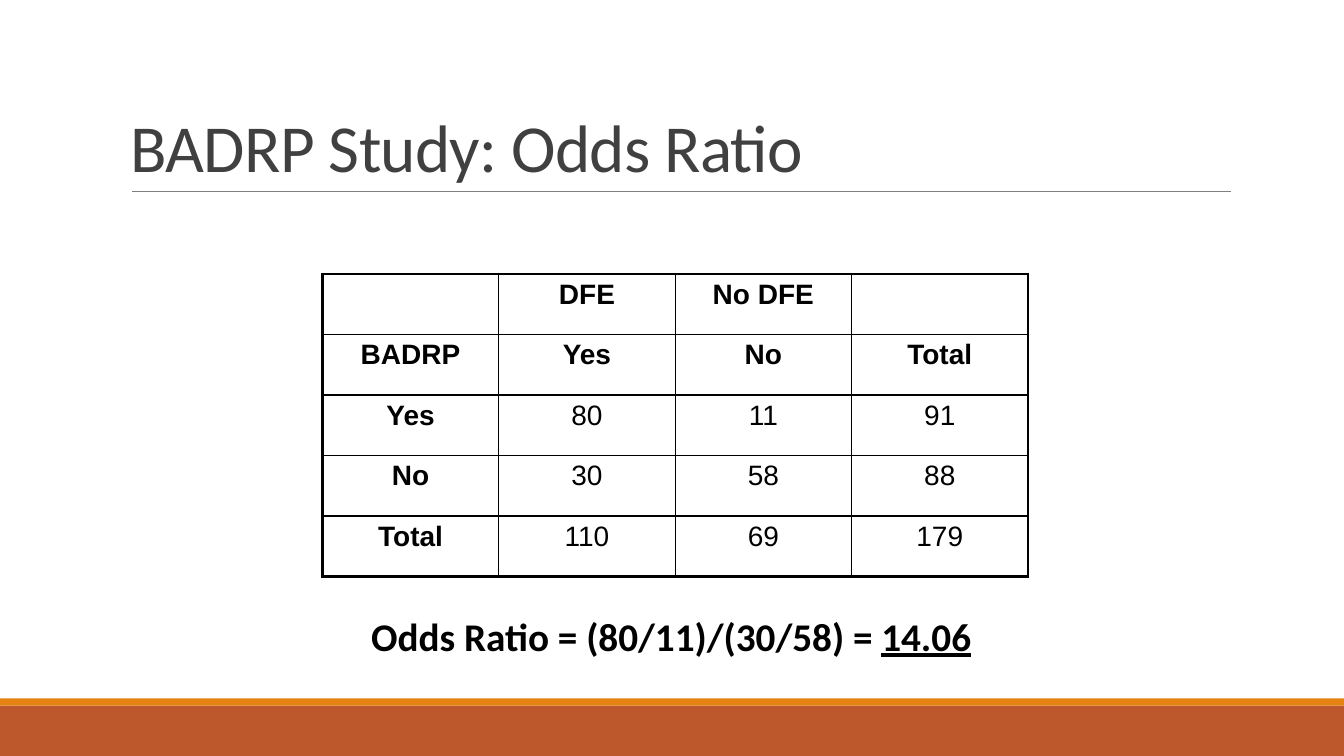
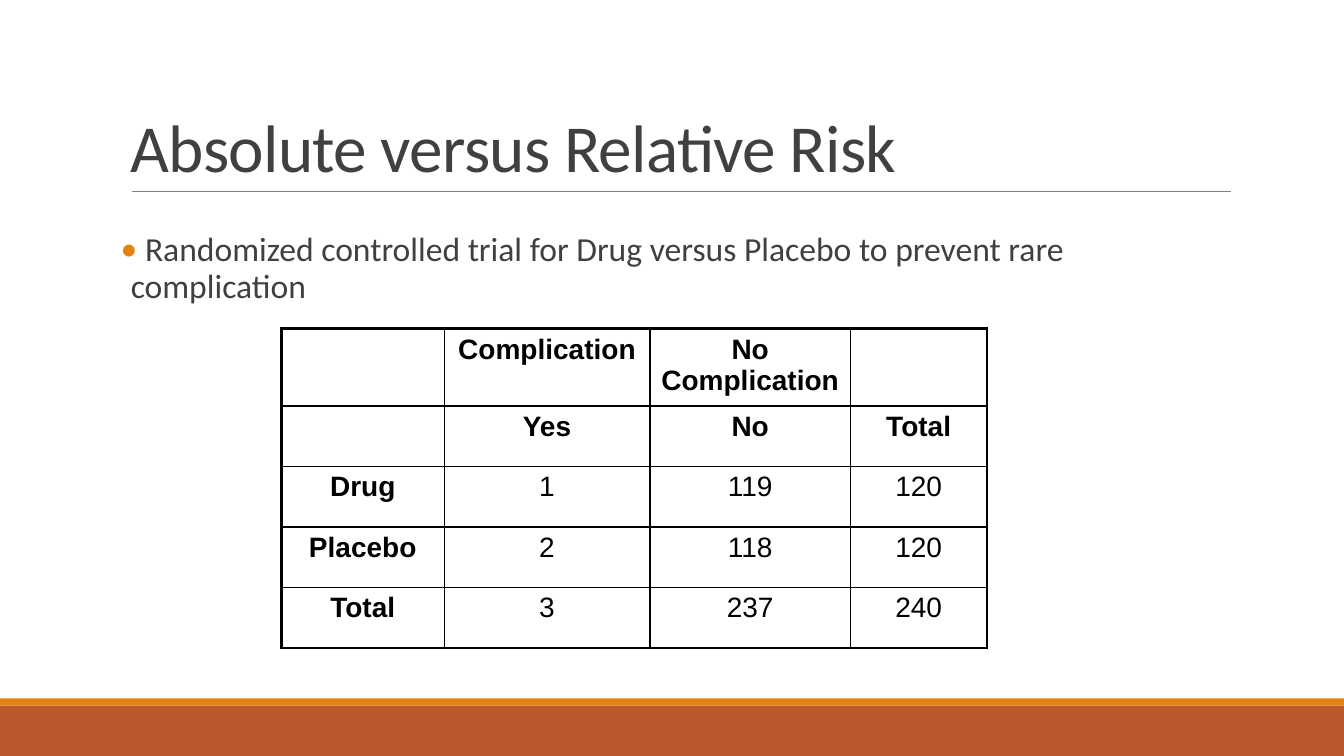
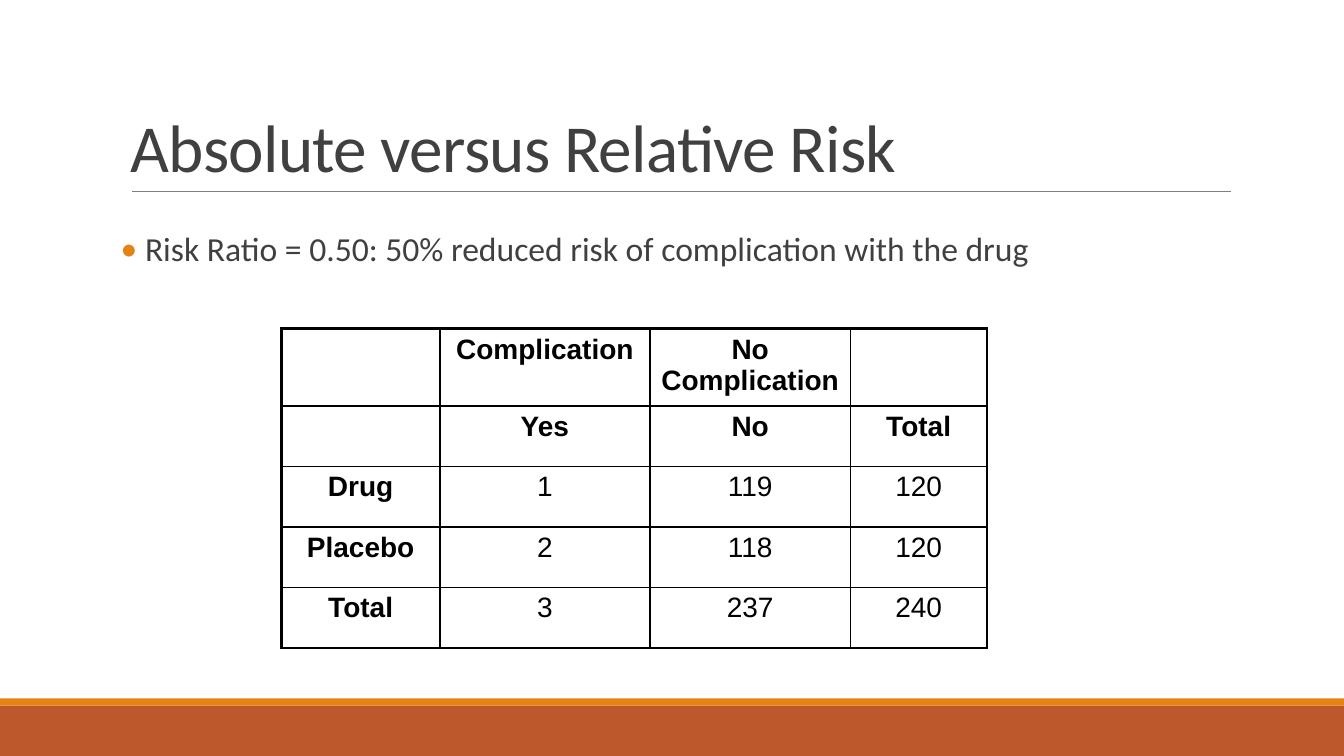
from dataclasses import dataclass

from pptx import Presentation
from pptx.dml.color import RGBColor
from pptx.enum.shapes import MSO_CONNECTOR, MSO_SHAPE
from pptx.enum.text import MSO_ANCHOR, PP_ALIGN
from pptx.oxml.ns import qn
from pptx.util import Pt
from lxml.etree import SubElement

PX = 9525  # EMU per px, 96 px to the inch
WIDTH, HEIGHT = 1280, 720


@dataclass(frozen=True)
class Theme:
    footer: str = "BD582C"
    accent: str = "E48312"
    rule: str = "808080"
    text: str = "404040"
    black: str = "000000"
    font: str = "Calibri"
    table_font: str = "Arial"
    title_size: int = 48
    formula_size: int = 28
    body_size: int = 24
    table_size: int = 20
    outer_border: float = 2.25
    inner_border: float = 1


THEME = Theme()


def px(*lengths):
    return [round(length * PX) for length in lengths]


def rgb(color):
    return RGBColor.from_string(color)


def style(p, size, color, font=THEME.font, bold=False):
    for r in p.runs:
        r.font.name = font
        r.font.size = Pt(size)
        r.font.bold = bold
        r.font.color.rgb = rgb(color)


# Shared slide parts
def add_band(slide, top, height, color):
    sp = slide.shapes.add_shape(MSO_SHAPE.RECTANGLE, *px(0, top, WIDTH, height))
    sp.shadow.inherit = False
    sp.fill.solid()
    sp.fill.fore_color.rgb = rgb(color)
    sp.line.fill.background()


def add_rule(slide, left, right, y):
    line = slide.shapes.add_connector(MSO_CONNECTOR.STRAIGHT, *px(left, y, right, y))
    line.line.color.rgb = rgb(THEME.rule)
    line.line.width = Pt(0.5)
    SubElement(line._element.spPr, qn("a:effectLst"))


def add_text(slide, left, top, width, height, text):
    tf = slide.shapes.add_textbox(*px(left, top, width, height)).text_frame
    tf.word_wrap = True
    tf.text = text
    return tf, tf.paragraphs[0]


def add_title(slide, text):
    tf, p = add_text(slide, 115, 30, 1056, 152, text)
    tf.vertical_anchor = MSO_ANCHOR.BOTTOM
    p.line_spacing = 0.85
    style(p, THEME.title_size, THEME.text)
    for r in p.runs:
        r.font._element.set("spc", "-50")


def new_slide(prs, title):
    slide = prs.slides.add_slide(prs.slide_layouts[6])
    add_band(slide, 672, 48, THEME.footer)
    add_band(slide, 665, 7, THEME.accent)
    add_rule(slide, 126, 1172, 182)
    add_title(slide, title)
    return slide


# Body text
def add_bullet(slide, text):
    tf, p = add_text(slide, 115, 217, 1056, 399, text)
    tf.margin_left = tf.margin_right = 0
    pPr = p._p.get_or_add_pPr()
    indent = Pt(7.2)
    pPr.set("marL", str(indent))
    pPr.set("indent", str(-indent))
    bullet_color = SubElement(pPr, qn("a:buClr"))
    SubElement(bullet_color, qn("a:srgbClr"), val=THEME.accent)
    SubElement(pPr, qn("a:buFont"), typeface=THEME.font)
    SubElement(pPr, qn("a:buChar"), char="•")
    p.line_spacing = 0.9
    p.space_after = Pt(2)
    style(p, THEME.body_size, THEME.text)


def add_formula(slide, formula, result):
    tf, p = add_text(slide, 344, 578, 599, 55, formula)
    r = p.add_run()
    r.text = result
    style(p, THEME.formula_size, THEME.black, bold=True)
    r.font.underline = True


# Contingency table
def set_borders(cell, outer_sides):
    tcPr = cell._tc.get_or_add_tcPr()
    for side in "LRTB":
        width = THEME.outer_border if side in outer_sides else THEME.inner_border
        ln = SubElement(tcPr, qn(f"a:ln{side}"), w=str(Pt(width)))
        fill = SubElement(ln, qn("a:solidFill"))
        SubElement(fill, qn("a:srgbClr"), val=THEME.black)


def add_table(slide, left, top, col_widths, rows):
    n_rows, n_cols = len(rows), len(col_widths)
    frame = slide.shapes.add_table(n_rows, n_cols, *px(left, top, sum(col_widths), 288))
    table = frame.table
    table.first_row = table.horz_banding = False
    for column, width in zip(table.columns, col_widths):
        column.width = px(width)[0]
    for i, row in enumerate(rows):
        for j, value in enumerate(row):
            cell = table.cell(i, j)
            edges = {"L": j == 0, "R": j == n_cols - 1, "T": i == 0, "B": i == n_rows - 1}
            set_borders(cell, [side for side, outer in edges.items() if outer])
            cell.fill.background()
            cell.text_frame.text = value
            p = cell.text_frame.paragraphs[0]
            p.alignment = PP_ALIGN.CENTER
            style(p, THEME.table_size, THEME.black, THEME.table_font, bold=i < 2 or j == 0)


BADRP_ROWS = [
    ["", "DFE", "No DFE", ""],
    ["BADRP", "Yes", "No", "Total"],
    ["Yes", "80", "11", "91"],
    ["No", "30", "58", "88"],
    ["Total", "110", "69", "179"],
]
TRIAL_ROWS = [
    ["", "Complication", "No Complication", ""],
    ["", "Yes", "No", "Total"],
    ["Drug", "1", "119", "120"],
    ["Placebo", "2", "118", "120"],
    ["Total", "3", "237", "240"],
]
TRIAL_SLIDES = [
    (" Randomized controlled trial for Drug versus Placebo to prevent rare complication",
     [155, 196, 191, 130]),
    (" Risk Ratio = 0.50: 50% reduced risk of complication with the drug",
     [151, 200, 191, 130]),
]


def main():
    prs = Presentation()
    prs.slide_width, prs.slide_height = px(WIDTH, HEIGHT)

    # Odds ratio
    slide = new_slide(prs, "BADRP Study: Odds Ratio")
    add_table(slide, 307, 261, [168] * 4, BADRP_ROWS)
    add_formula(slide, "Odds Ratio = (80/11)/(30/58) = ", "14.06")

    # Drug trial
    for bullet, col_widths in TRIAL_SLIDES:
        slide = new_slide(prs, "Absolute versus Relative Risk")
        add_bullet(slide, bullet)
        add_table(slide, 268, 313, col_widths, TRIAL_ROWS)

    prs.save("out.pptx")


if __name__ == "__main__":
    main()
